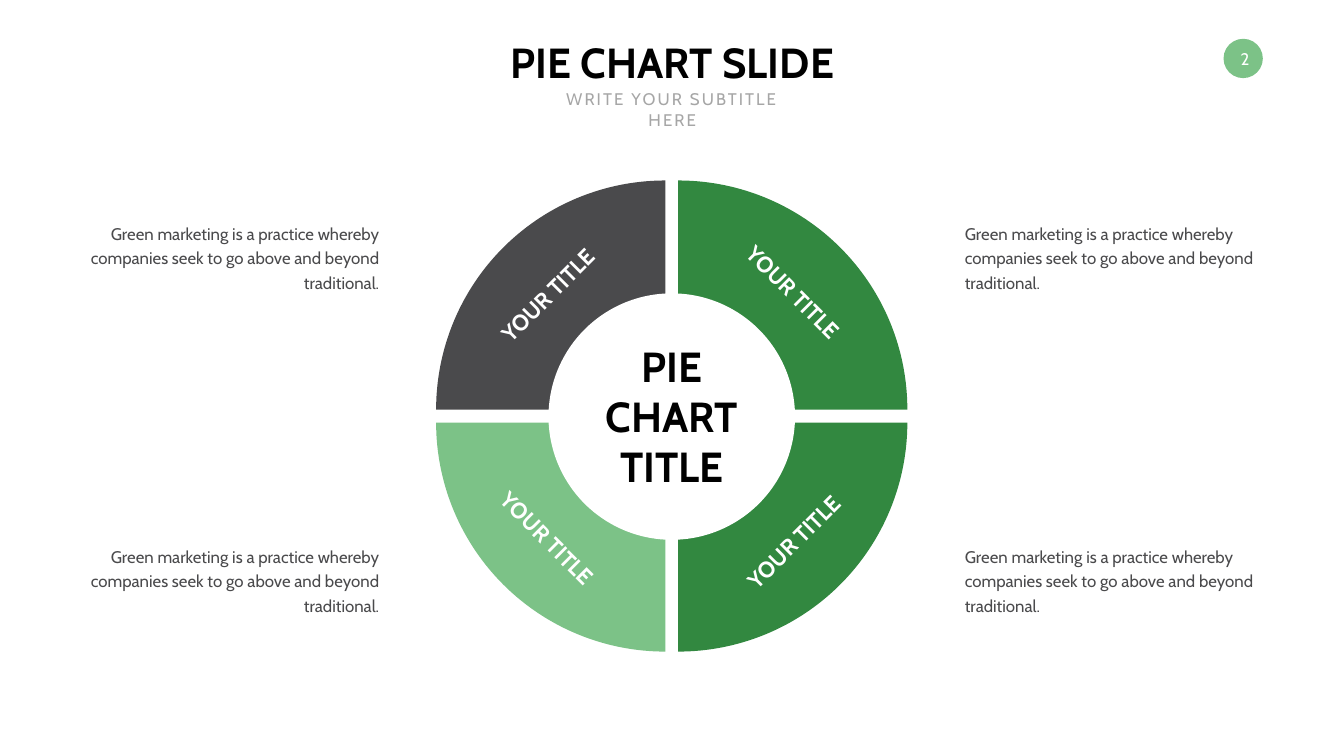
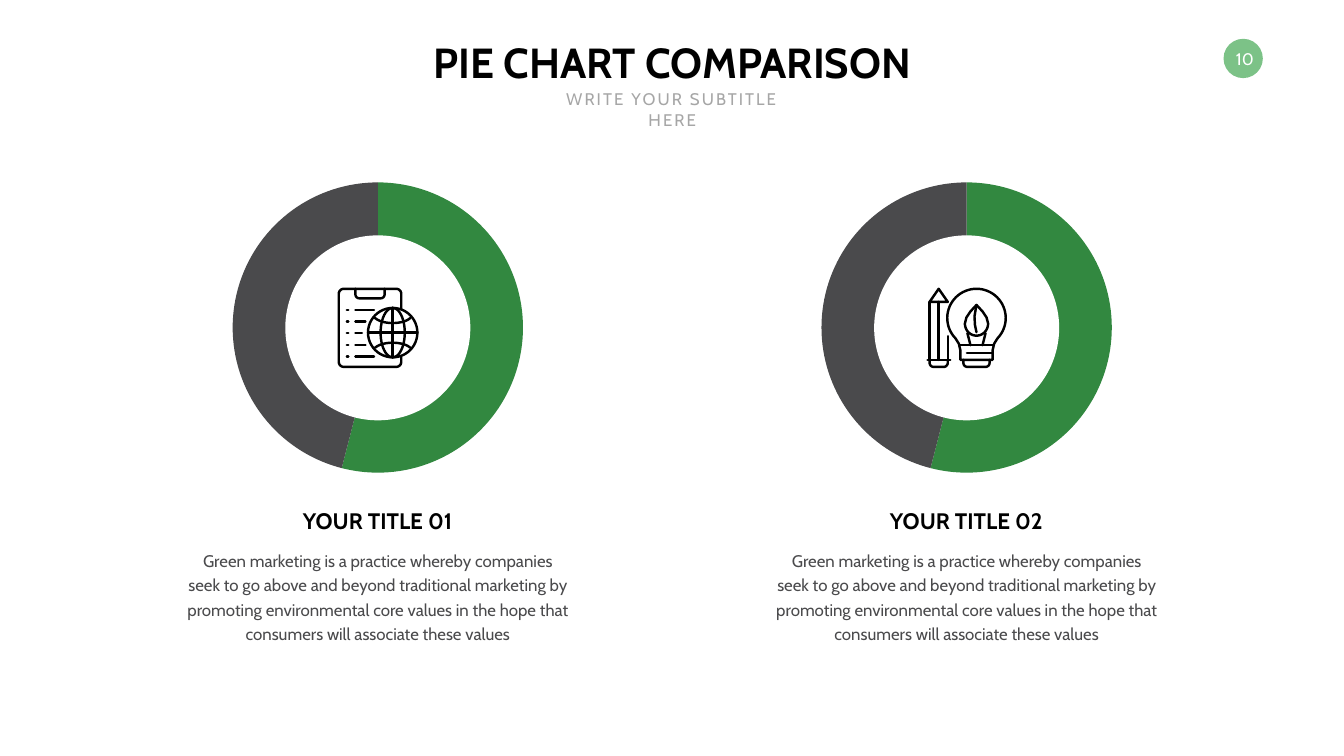
from math import cos, radians, sin

from pptx import Presentation
from pptx.chart.data import CategoryChartData
from pptx.dml.color import RGBColor
from pptx.enum.chart import XL_CHART_TYPE
from pptx.enum.shapes import MSO_SHAPE
from pptx.enum.text import MSO_ANCHOR, MSO_AUTO_SIZE, PP_ALIGN
from pptx.oxml import parse_xml
from pptx.oxml.ns import nsdecls, qn
from pptx.util import Inches, Pt

FONT = "Cabin"
BLACK, WHITE, GREY = "000000", "FFFFFF", "A6A6A6"
GREEN, LIGHT_GREEN, CHARCOAL, NAVY = "328840", "7CC287", "4A4A4C", "022338"
LEFT, CENTER, RIGHT = PP_ALIGN.LEFT, PP_ALIGN.CENTER, PP_ALIGN.RIGHT

SHORT_TEXT = ("Green marketing is a practice whereby companies seek to go "
              "above and beyond traditional.")
LONG_TEXT = ("Green marketing is a practice whereby companies seek to go above "
             "and beyond traditional marketing by promoting environmental core "
             "values in the hope that consumers will associate these values")


def rgb(hex_code):
    return RGBColor.from_string(hex_code)


def arc(cx, cy, rx, ry, start, end, steps=24):
    angles = [radians(start + (end - start) * i / steps) for i in range(steps + 1)]
    return [(cx + rx * cos(a), cy + ry * sin(a)) for a in angles]


def cup(left, right, top, bottom, r=0.08):
    return [(left, top), *arc(left + r, bottom - r, r, r, 180, 90, 6),
            *arc(right - r, bottom - r, r, r, 90, 0, 6), (right, top)]


def checklist_globe():
    sheet = [(1.27, 0.43)]
    for cx, cy, start in ((1.17, 0.13, 0), (0.13, 0.13, -90),
                          (0.13, 1.48, -180), (1.17, 1.48, -270)):
        sheet += arc(cx, cy, 0.1, 0.1, start, start - 90, 6)
    strokes = [sheet + [(1.27, 1.38)], cup(0.36, 0.94, 0.03, 0.22)]
    for row, end in enumerate((0.73, 0.56, 0.49, 0.56, 0.73)):
        y = 0.45 + 0.23 * row
        strokes += [[(0.19, y), (0.22, y)], [(0.36, y), (end, y)]]
    return strokes + [
        arc(1.1, 0.9, 0.49, 0.49, 0, 360, 48),
        arc(1.1, 0.9, 0.24, 0.49, 0, 360, 48),
        arc(1.1, 0.53, 0.39, 0.18, 26, 154),
        arc(1.1, 1.28, 0.39, 0.18, 206, 334),
        [(0.61, 0.9), (1.59, 0.9)],
        [(1.1, 0.41), (1.1, 1.39)],
    ]


def pencil_bulb():
    bulb = [(0.68, 1.44), (0.68, 1.25), (0.65, 1.12),
            *arc(1, 0.61, 0.58, 0.58, 136, 404, 48),
            (1.35, 1.12), (1.32, 1.25), (1.32, 1.44), (0.68, 1.44)]
    leaf = [(1, 0.35), (0.88, 0.48), (0.8, 0.6),
            *arc(1, 0.72, 0.23, 0.24, 180, 0),
            (1.2, 0.6), (1.12, 0.48), (1, 0.35)]
    return [
        bulb, leaf,
        [(0.99, 0.4), (0.96, 0.58), (0.97, 0.75), (1, 0.89)],
        [(0.82, 0.91), (0.88, 1.15)],
        [(1.18, 0.91), (1.12, 1.15)],
        [(0.68, 1.15), (1.32, 1.15)],
        [(0.81, 1.3), (1.3, 1.3)],
        cup(0.74, 1.26, 1.44, 1.58),
        [(0.25, 0.03), (0.07, 0.29), (0.43, 0.29), (0.25, 0.03)],
        [(0.07, 0.29), (0.07, 1.44)],
        [(0.25, 0.29), (0.25, 1.44)],
        [(0.43, 0.97), (0.43, 1.44)],
        [(0.03, 1.44), (0.48, 1.44)],
        cup(0.07, 0.43, 1.44, 1.58),
    ]


class Deck:
    """Presentation style together with the slide being filled."""

    def __init__(self):
        self.prs = Presentation()
        self.prs.slide_width, self.prs.slide_height = Inches(26.66), Inches(15)
        self.slide = None

    def new_slide(self, number, title, title_left, title_width):
        self.slide = self.prs.slides.add_slide(self.prs.slide_layouts[6])
        background = self.slide.background.fill
        background.solid()
        background.fore_color.rgb = rgb(WHITE)
        self.oval(24.27, 0.77, 0.78, LIGHT_GREEN)
        badge = self.oval(24.35, 0.83, 0.69)
        frame = badge.text_frame
        frame.margin_left = frame.margin_right = 0
        frame.margin_top = frame.margin_bottom = 0
        self.typeset(frame, number, 24, WHITE, anchor=MSO_ANCHOR.MIDDLE, wrap=False)
        self.text(title_left, 0.67, title_width, 1.11, title, 60, BLACK,
                  bold=True, wrap=False)
        self.text(10.62, 1.72, 5.43, 0.5, "WRITE YOUR SUBTITLE HERE", 24, GREY,
                  tracking=3)

    def oval(self, left, top, size, fill=None):
        oval = self.slide.shapes.add_shape(
            MSO_SHAPE.OVAL, Inches(left), Inches(top), Inches(size), Inches(size))
        oval.shadow.inherit = False
        oval.line.fill.background()
        if fill:
            oval.fill.solid()
            oval.fill.fore_color.rgb = rgb(fill)
        else:
            oval.fill.background()
        return oval

    def typeset(self, frame, content, size, color, bold=False, align=CENTER,
                anchor=MSO_ANCHOR.TOP, wrap=True, leading=None, tracking=0):
        frame.word_wrap = wrap
        frame.auto_size = MSO_AUTO_SIZE.SHAPE_TO_FIT_TEXT
        frame.vertical_anchor = anchor
        paragraph = frame.paragraphs[0]
        paragraph.alignment = align
        if leading:
            paragraph.line_spacing = Pt(leading)
        run = paragraph.add_run()
        run.text = content
        run.font.name, run.font.size, run.font.bold = FONT, Pt(size), bold
        run.font.color.rgb = rgb(color)
        if tracking:
            run.font._element.set("spc", str(tracking * 100))

    def text(self, left, top, width, height, content, size, color,
             rotation=0, **style):
        box = self.slide.shapes.add_textbox(
            Inches(left), Inches(top), Inches(width), Inches(height))
        box.rotation = rotation
        self.typeset(box.text_frame, content, size, color, **style)

    def label(self, left, top, width, content, color, **style):
        self.text(left, top, width, 0.64, content, 32, color, bold=True,
                  anchor=MSO_ANCHOR.MIDDLE, wrap=False, **style)

    def body(self, left, top, width, height, content, align=CENTER):
        self.text(left, top, width, height, content, 24, CHARCOAL,
                  align=align, leading=35)

    def ring(self, left, top, size, hole, values, colors, explosion=0):
        data = CategoryChartData()
        data.categories = [str(i + 1) for i in range(len(values))]
        data.add_series("Series 1", values)
        chart = self.slide.shapes.add_chart(
            XL_CHART_TYPE.PIE, Inches(left), Inches(top),
            Inches(size), Inches(size), data).chart
        chart.has_legend = chart.has_title = False
        chart.font.name, chart.font.size = FONT, Pt(10)
        chart.font.color.rgb = rgb(CHARCOAL)
        plot = chart.plots[0]
        plot.vary_by_categories = False
        series = plot.series[0]
        series.format.fill.solid()
        series.format.fill.fore_color.rgb = rgb(NAVY)
        for index, color in enumerate(colors):
            wedge = series.points[index].format
            wedge.fill.solid()
            wedge.fill.fore_color.rgb = rgb(color)
            wedge.line.fill.background()
        if explosion:
            series._element.find(qn("c:spPr")).addnext(parse_xml(
                f'<c:explosion {nsdecls("c")} val="{explosion}"/>'))
        self.fill_frame(chart)
        inset = (size - hole) / 2
        self.oval(left + inset, top + inset, hole, WHITE)

    def fill_frame(self, chart):
        area = chart._chartSpace.chart.plotArea
        for layout in area.findall(qn("c:layout")):
            area.remove(layout)
        sizes = {"x": 0.005, "y": 0.005, "w": 0.99, "h": 0.988}
        settings = '<c:layoutTarget val="inner"/>'
        settings += "".join(f'<c:{k}Mode val="edge"/>' for k in "xy")
        settings += "".join(f'<c:{k} val="{v}"/>' for k, v in sizes.items())
        area.insert(0, parse_xml(
            f'<c:layout {nsdecls("c")}><c:manualLayout>{settings}'
            "</c:manualLayout></c:layout>"))

    def icon(self, left, top, strokes):
        builder = None
        for stroke in strokes:
            start, *rest = [(Inches(x), Inches(y)) for x, y in stroke]
            if builder is None:
                builder = self.slide.shapes.build_freeform(*start)
            else:
                builder.move_to(*start)
            builder.add_line_segments(rest, close=False)
        drawing = builder.convert_to_shape(Inches(left), Inches(top))
        drawing.shadow.inherit = False
        drawing.fill.background()
        drawing.line.width = Pt(3.5)
        drawing.line.color.rgb = rgb(BLACK)
        drawing.line._ln.set("cap", "rnd")


def quarters_slide(deck):
    deck.new_slide("2", "PIE CHART SLIDE", 9.86, 6.95)
    deck.ring(8.54, 3.48, 9.57, 4.89, [25] * 4,
              [GREEN, GREEN, LIGHT_GREEN, CHARCOAL], explosion=4)
    for left, align in ((19.04, LEFT), (1.66, RIGHT)):
        for top in (4.3, 10.71):
            deck.body(left, top, 5.96, 1.52, SHORT_TEXT, align)
    deck.text(11.39, 6.7, 3.88, 3.13, "PIE CHART TITLE", 60, BLACK, bold=True)
    for row, top in enumerate((5.5, 10.39)):
        for column, left in enumerate((9.55, 14.43)):
            deck.label(left, top, 2.68, "YOUR TITLE", WHITE, align=LEFT,
                       rotation=315 if row == column else 45)


def comparison_slide(deck):
    deck.new_slide("10", "PIE CHART COMPARISON", 8.06, 10.55)
    columns = ((7.49, "YOUR TITLE 01", checklist_globe()),
               (19.17, "YOUR TITLE 02", pencil_bulb()))
    for middle, heading, strokes in columns:
        deck.ring(middle - 2.91, 3.59, 5.83, 3.67, [54, 46], [GREEN, CHARCOAL])
        deck.icon(middle - 0.8, 5.7, strokes)
        deck.body(middle - 3.9, 10.79, 7.81, 2.01, LONG_TEXT)
        deck.label(middle - 1.64, 10.01, 3.28, heading, BLACK)


def main():
    deck = Deck()
    quarters_slide(deck)
    comparison_slide(deck)
    deck.prs.save("out.pptx")


if __name__ == "__main__":
    main()
